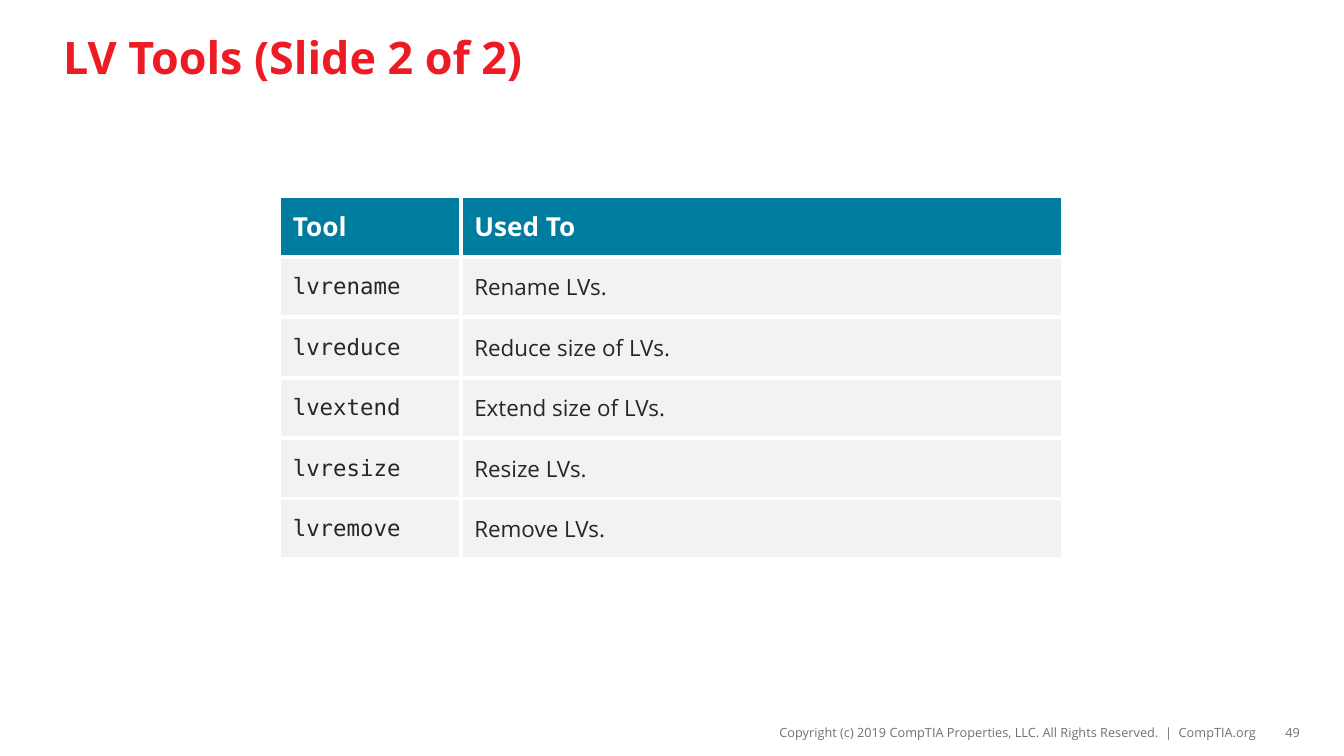
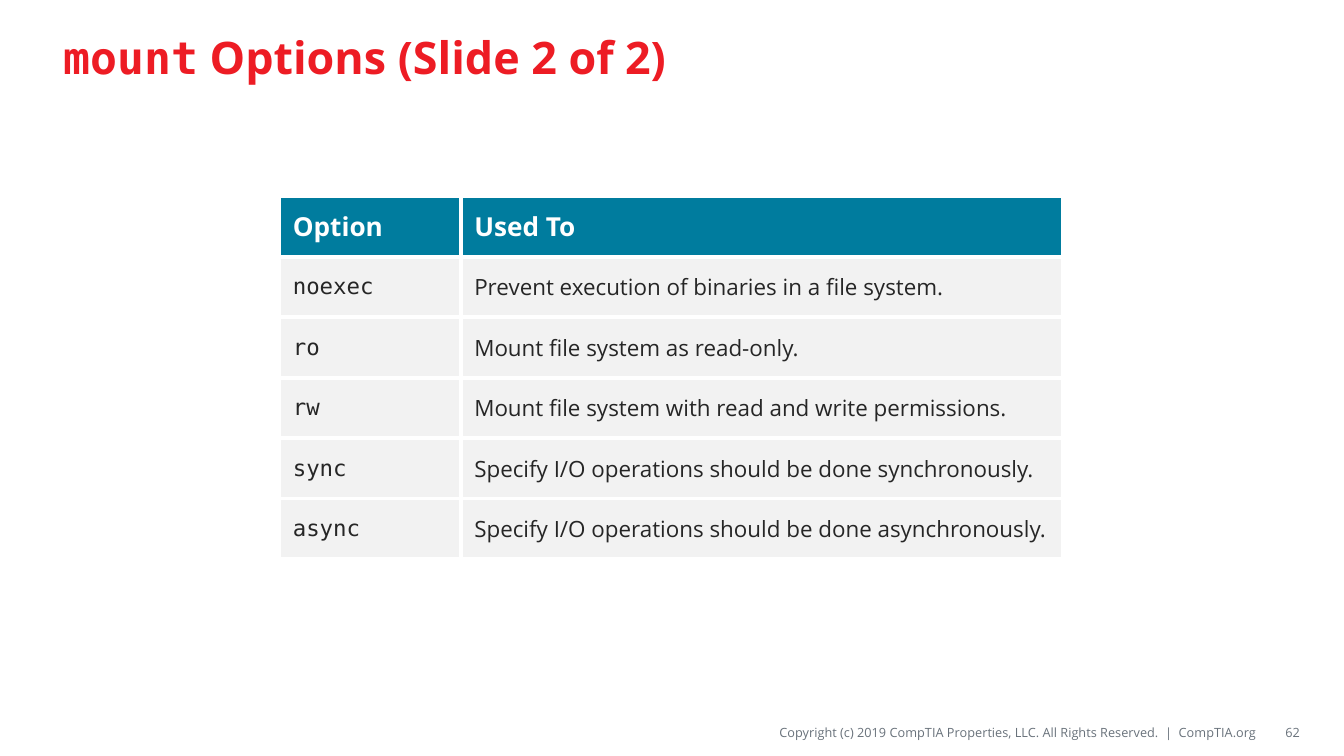
from lxml.etree import SubElement, Element
from pptx import Presentation
from pptx.dml.color import RGBColor
from pptx.enum.text import MSO_ANCHOR as Anchor, MSO_AUTO_SIZE as AutoSize, PP_ALIGN as Align
from pptx.oxml.ns import qn
from pptx.util import Cm, Pt

RED = RGBColor(0xED, 0x1C, 0x24)
TEAL = RGBColor(0x00, 0x7C, 0x9E)
PALE = RGBColor(0xF2, 0xF2, 0xF2)
INK = RGBColor(0x26, 0x26, 0x26)
GREY = RGBColor(0x69, 0x72, 0x7B)
WHITE = RGBColor(0xFF, 0xFF, 0xFF)
SANS = "Open Sans"
MONO = "DejaVu Sans Mono"

TITLE_BOX = (0.94, 0.2, 23.5, 1.75)
COPYRIGHT_BOX = (9.86, 13.56, 13.89, 0.56)
NUMBER_BOX = (23.83, 13.56, 0.74, 0.56)
TABLE_BOX = (5.28, 3.71, 14.81, 6.86)
FIRST_COLUMN = 3.43
BORDER = Pt(2.25)
COPYRIGHT = "Copyright (c) 2019 CompTIA Properties, LLC. All Rights Reserved.  |  CompTIA.org"

SLIDES = [
    {
        "title": [("LV Tools (Slide 2 of 2)", SANS)],
        "number": "49",
        "rows": [
            ("Tool", "Used To"),
            ("lvrename", "Rename LVs."),
            ("lvreduce", "Reduce size of LVs."),
            ("lvextend", "Extend size of LVs."),
            ("lvresize", "Resize LVs."),
            ("lvremove", "Remove LVs."),
        ],
    },
    {
        "title": [("mount", MONO), (" Options (Slide 2 of 2)", SANS)],
        "number": "62",
        "rows": [
            ("Option", "Used To"),
            ("noexec", "Prevent execution of binaries in a file system."),
            ("ro", "Mount file system as read-only."),
            ("rw", "Mount file system with read and write permissions."),
            ("sync", "Specify I/O operations should be done synchronously."),
            ("async", "Specify I/O operations should be done asynchronously."),
        ],
    },
]


def style_font(font, name, size, color, bold=False):
    """Set the face, size, colour and weight of a font."""
    font.name = name
    font.size = Pt(size)
    font.color.rgb = color
    font.bold = bold


def add_title(slide, box, parts):
    """Place the title placeholder and fill it with (text, font name) parts."""
    title = slide.shapes.title
    title.left, title.top, title.width, title.height = map(Cm, box)
    text_frame = title.text_frame
    text_frame.auto_size = AutoSize.NONE
    text_frame.vertical_anchor = Anchor.MIDDLE
    paragraph = text_frame.paragraphs[0]
    paragraph.alignment = Align.LEFT
    for text, name in parts:
        run = paragraph.add_run()
        run.text = text
        style_font(run.font, name, 24, RED, bold=True)


def add_footer_text(slide, box, text):
    """Add a small right-aligned footer text."""
    text_frame = slide.shapes.add_textbox(*map(Cm, box)).text_frame
    text_frame.word_wrap = True
    text_frame.vertical_anchor = Anchor.MIDDLE
    text_frame.margin_left = text_frame.margin_right = 0
    text_frame.margin_top = text_frame.margin_bottom = Cm(0.1)
    text_frame.text = text
    paragraph = text_frame.paragraphs[0]
    paragraph.alignment = Align.RIGHT
    style_font(paragraph.runs[0].font, SANS, 6.8, GREY)


def add_borders(cell):
    """Draw white lines on all four sides of a cell."""
    properties = cell._tc.get_or_add_tcPr()
    for index, side in enumerate(("lnL", "lnR", "lnT", "lnB")):
        line = Element(qn(f"a:{side}"), w=str(BORDER))
        fill = SubElement(line, qn("a:solidFill"))
        SubElement(fill, qn("a:srgbClr"), val=str(WHITE))
        properties.insert(index, line)


def fill_cell(cell, text, is_header, is_code):
    """Write and format one table cell."""
    cell.fill.solid()
    cell.fill.fore_color.rgb = TEAL if is_header else PALE
    add_borders(cell)
    cell.vertical_anchor = Anchor.MIDDLE
    cell.text_frame.text = text
    font = cell.text_frame.paragraphs[0].runs[0].font
    if is_header:
        style_font(font, SANS, 14, WHITE, bold=True)
    else:
        style_font(font, MONO if is_code else SANS, 12, INK)


def add_usage_table(slide, box, rows):
    """Add a two-column table of code names and their uses."""
    left, top, width, height = box
    table = slide.shapes.add_table(len(rows), 2, *map(Cm, box)).table
    table.columns[0].width = Cm(FIRST_COLUMN)
    table.columns[1].width = Cm(width - FIRST_COLUMN)
    for row_index, texts in enumerate(rows):
        table.rows[row_index].height = Cm(height / len(rows))
        for column_index, text in enumerate(texts):
            cell = table.cell(row_index, column_index)
            fill_cell(cell, text, row_index == 0, column_index == 0)


def add_table_slide(presentation, title, number, rows):
    """Add a slide with a title, a table and the footer."""
    slide = presentation.slides.add_slide(presentation.slide_layouts[5])
    add_footer_text(slide, COPYRIGHT_BOX, COPYRIGHT)
    add_title(slide, TITLE_BOX, title)
    add_footer_text(slide, NUMBER_BOX, number)
    add_usage_table(slide, TABLE_BOX, rows)


def main():
    """Build and save the presentation."""
    presentation = Presentation()
    presentation.slide_width = Cm(25.4)
    presentation.slide_height = Cm(14.29)
    for content in SLIDES:
        add_table_slide(presentation, **content)
    presentation.save("out.pptx")


if __name__ == "__main__":
    main()
